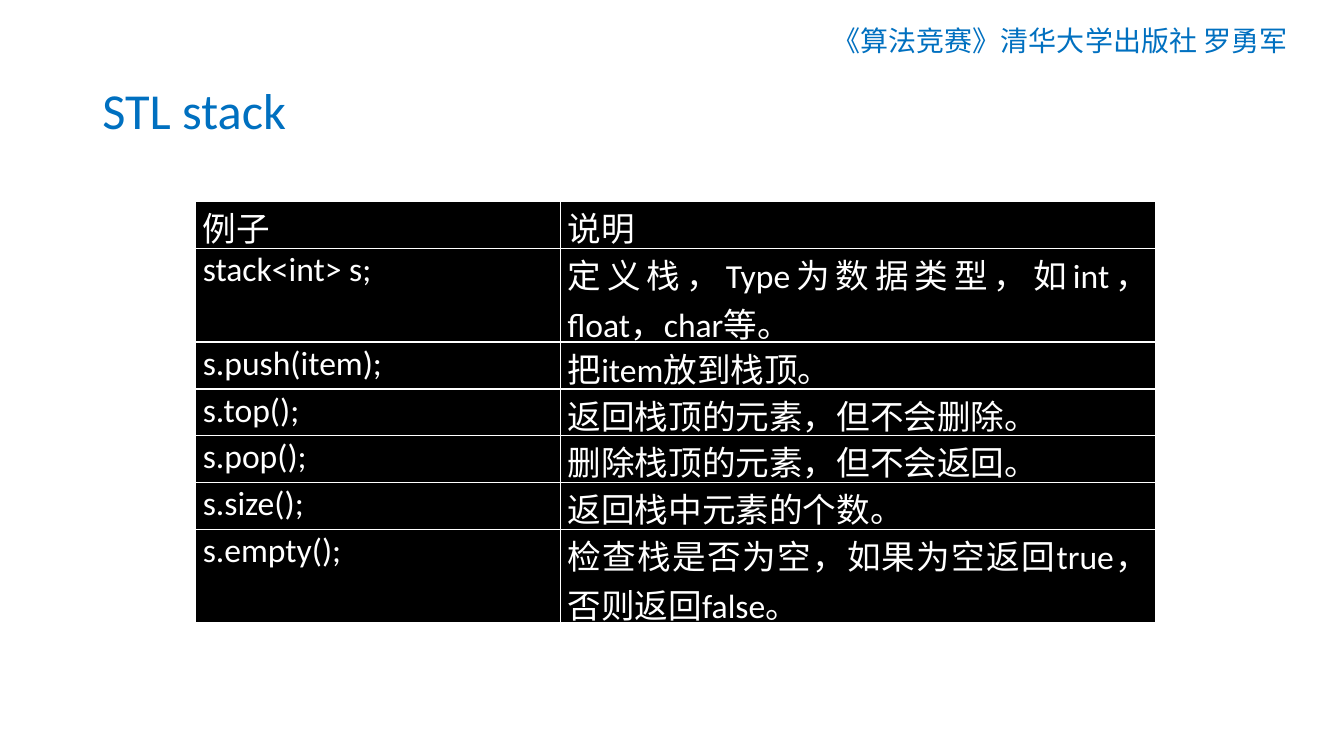
from dataclasses import dataclass

from lxml.etree import SubElement
from pptx import Presentation
from pptx.dml.color import RGBColor
from pptx.enum.text import MSO_ANCHOR as Anchor, PP_ALIGN as Align
from pptx.oxml.ns import qn
from pptx.util import Cm, Pt


@dataclass(frozen=True)
class Theme:
    font: str = "Calibri"
    accent: str = "0070C0"
    cell_fill: str = "000000"
    cell_text: str = "FFFFFF"
    border: str = "FFFFFF"
    border_width: int = Pt(1)
    title_size: int = 36
    source_size: int = 20
    table_size: int = 24


THEME = Theme()

STACK_ROWS = [
    ("例子", "说明"),
    ("stack<int> s;", "定义栈，Type为数据类型，如int，float，char等。"),
    ("s.push(item);", "把item放到栈顶。"),
    ("s.top();", "返回栈顶的元素，但不会删除。"),
    ("s.pop();", "删除栈顶的元素，但不会返回。"),
    ("s.size();", "返回栈中元素的个数。"),
    ("s.empty();", "检查栈是否为空，如果为空返回true，否则返回false。"),
]
TWO_LINE_ROWS = {1, 6}
LINE_HEIGHT = 1.18
EXAMPLE_SHARE = 0.38


def style_text(frame, size, color, align):
    para = frame.paragraphs[0]
    para.alignment = align
    for span in para.runs:
        span.font.name = THEME.font
        span.font.size = Pt(size)
        span.font.color.rgb = RGBColor.from_string(color)
    return para


def add_heading(page, box, text, size, align):
    frame = page.shapes.add_textbox(*map(Cm, box)).text_frame
    frame.word_wrap = True
    frame.vertical_anchor = Anchor.MIDDLE
    frame.text = text
    return style_text(frame, size, THEME.accent, align)


def add_borders(cell):
    properties = cell._tc.get_or_add_tcPr()
    for side in ("lnL", "lnR", "lnT", "lnB"):
        line = SubElement(properties, qn(f"a:{side}"), w=str(THEME.border_width))
        fill = SubElement(line, qn("a:solidFill"))
        SubElement(fill, qn("a:srgbClr"), val=THEME.border)


def fill_cell(cell, text):
    cell.margin_left = cell.margin_right = Cm(0.18)
    cell.margin_top = Cm(0.03)
    cell.margin_bottom = 0
    cell.text_frame.text = text
    style_text(cell.text_frame, THEME.table_size, THEME.cell_text, Align.JUSTIFY)
    add_borders(cell)
    cell.fill.solid()
    cell.fill.fore_color.rgb = RGBColor.from_string(THEME.cell_fill)


def add_stack_table(page, box):
    left, top, width, height = box
    table = page.shapes.add_table(
        len(STACK_ROWS), 2, Cm(left), Cm(top), Cm(width), Cm(height)
    ).table
    table.columns[0].width = Cm(width * EXAMPLE_SHARE)
    table.columns[1].width = Cm(width * (1 - EXAMPLE_SHARE))
    for index, texts in enumerate(STACK_ROWS):
        lines = 2 if index in TWO_LINE_ROWS else 1
        table.rows[index].height = Cm(LINE_HEIGHT * lines)
        for column, text in enumerate(texts):
            fill_cell(table.cell(index, column), text)


def add_stack_slide(deck):
    page = deck.slides.add_slide(deck.slide_layouts[6])
    title = add_heading(
        page, (2.33, 1.01, 29.21, 3.68), "STL stack", THEME.title_size, Align.LEFT
    )
    title.line_spacing = 0.9
    add_heading(
        page,
        (20.52, 0.36, 12.4, 1.32),
        "《算法竞赛》清华大学出版社 罗勇军",
        THEME.source_size,
        Align.CENTER,
    )
    add_stack_table(page, (4.93, 5.08, 24.2, 10.64))


def main():
    deck = Presentation()
    deck.slide_width = Cm(33.87)
    deck.slide_height = Cm(19.05)
    add_stack_slide(deck)
    deck.save("out.pptx")


if __name__ == "__main__":
    main()
